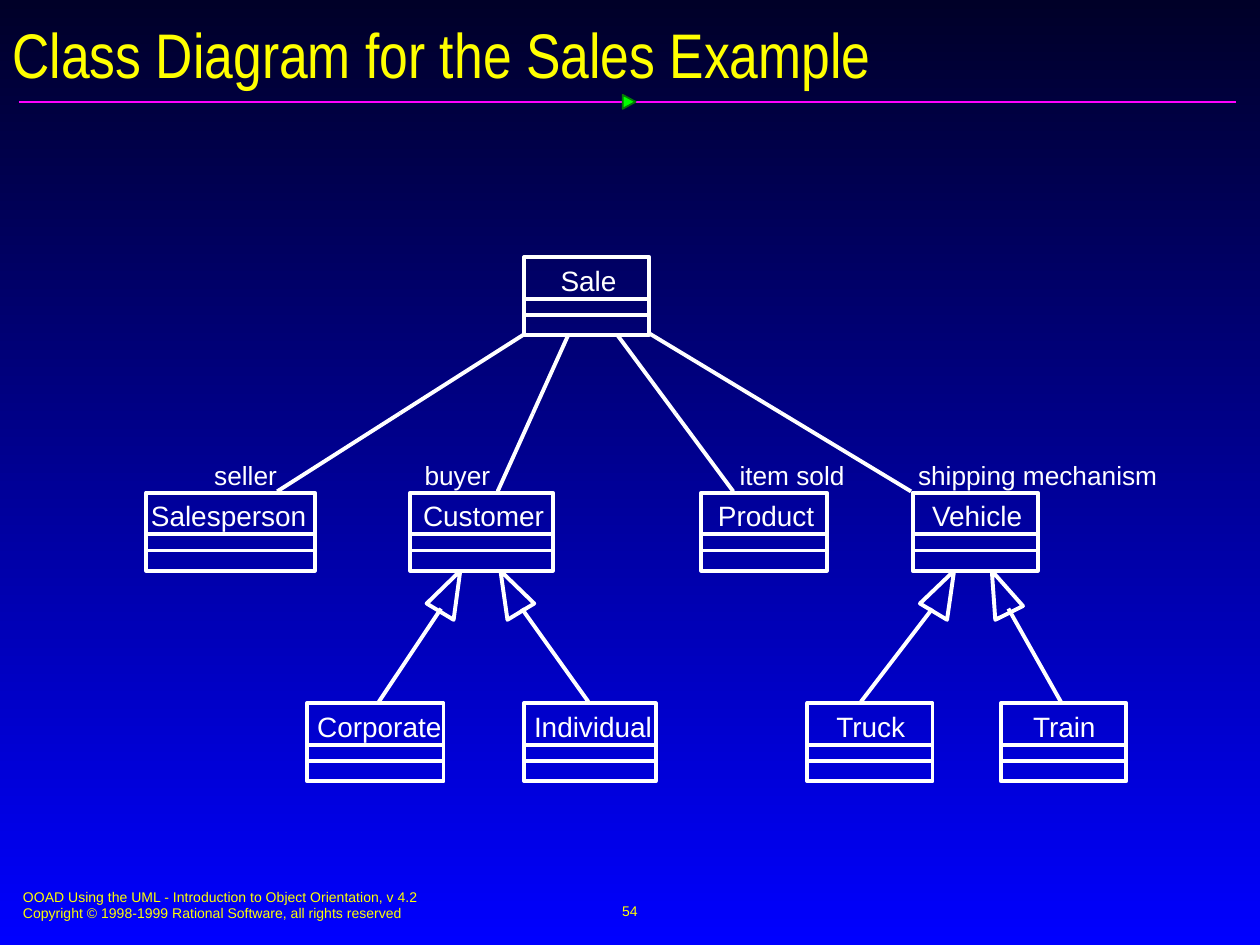
from pptx import Presentation
from pptx.dml.color import RGBColor
from pptx.enum.shapes import MSO_CONNECTOR, MSO_SHAPE
from pptx.enum.text import MSO_ANCHOR, PP_ALIGN
from pptx.oxml.ns import qn
from pptx.util import Pt
from lxml import etree

STRAIGHT = MSO_CONNECTOR.STRAIGHT
RECTANGLE, TRIANGLE = MSO_SHAPE.RECTANGLE, MSO_SHAPE.ISOSCELES_TRIANGLE
TOP, MIDDLE, BOTTOM = MSO_ANCHOR.TOP, MSO_ANCHOR.MIDDLE, MSO_ANCHOR.BOTTOM
LEFT, CENTER = PP_ALIGN.LEFT, PP_ALIGN.CENTER
WHITE, YELLOW, MAGENTA = "FFFFFF", "FFFF00", "FF01FF"
GREEN, DARK_GREEN = "00FF00", "037C03"
NAVY, BLUE = "000028", "0000FF"
color = RGBColor.from_string

deck = Presentation()
deck.slide_width, deck.slide_height = Pt(720), Pt(540)
page = deck.slides.add_slide(deck.slide_layouts[6])

background = page.background.fill
background.gradient()
background.gradient_angle = 270
for stop, shade in zip(background.gradient_stops, (NAVY, BLUE)):
    stop.color.rgb = color(shade)


def add_line(start, end, shade=WHITE, weight=2.25):
    line = page.shapes.add_connector(STRAIGHT, *map(Pt, start + end))
    line.line.color.rgb = color(shade)
    line.line.width = Pt(weight)
    etree.SubElement(line._element.spPr, qn("a:effectLst"))


def add_text(lines, frame, size, shade=WHITE, font="Arial", margins=(7.2, 3.6),
             anchor=TOP, align=LEFT, wrap=True):
    """Frame is left, top, width, height; margins are side, then top and bottom."""
    box = page.shapes.add_textbox(*map(Pt, frame)).text_frame
    box.word_wrap = wrap
    box.vertical_anchor = anchor
    box.margin_left = box.margin_right = Pt(margins[0])
    box.margin_top = box.margin_bottom = Pt(margins[1])
    box.text = "\n".join(lines)
    for para in box.paragraphs:
        para.alignment = align
        para.font.name = font
        para.font.size = Pt(size)
        para.font.color.rgb = color(shade)


# Title, rule and footer
add_line((10.8, 58.2), (706.3, 58.2), MAGENTA, 1)
marker = page.shapes.add_shape(TRIANGLE, Pt(355.5), Pt(54.5), Pt(8), Pt(7.4))
marker.rotation = 90
marker.shadow.inherit = False
marker.fill.solid()
marker.fill.fore_color.rgb = color(GREEN)
marker.line.color.rgb = color(DARK_GREEN)
marker.line.width = Pt(1)
add_text(["OOAD Using the UML - Introduction to Object Orientation, v 4.2",
          "Copyright © 1998-1999 Rational Software, all rights reserved"],
         (6, 504, 367, 26.6), 8, YELLOW)
add_text(["54"], (246, 502.5, 228, 36), 8, YELLOW,
         anchor=MIDDLE, align=CENTER, wrap=False)
add_text(["Class Diagram for the Sales Example"], (7.2, 10.1, 708.5, 41.8), 36,
         YELLOW, "Arial Narrow", (0, 0), BOTTOM)

# Classes: name, box left, box width, name left, name width
CLASS_HEIGHT = 44.6
class_rows = {
    147: [("Sale", 299.5, 71.6, 313.2, 46.8)],
    281.5: [("Salesperson", 83.5, 96.5, 79.2, 103),
            ("Customer", 234.5, 81.4, 234.7, 83.5),
            ("Product", 400.8, 71.6, 403.2, 69.8),
            ("Vehicle", 521.5, 71.6, 525.6, 67)],
    401.8: [("Corporate", 175.5, 78, 174.2, 85.7),
            ("Individual", 299.5, 75.2, 298.1, 82.1),
            ("Truck", 461.3, 71.6, 470.9, 54.7),
            ("Train", 572, 71.6, 583.2, 51.1)],
}
for top, classes in class_rows.items():
    for name, left, width, name_left, name_width in classes:
        frame = page.shapes.add_shape(
            RECTANGLE, Pt(left), Pt(top), Pt(width), Pt(CLASS_HEIGHT))
        frame.shadow.inherit = False
        frame.fill.background()
        frame.line.color.rgb = color(WHITE)
        frame.line.width = Pt(2.25)
        for drop in (23.8, 33.1):
            add_line((left, top + drop), (left + width, top + drop))
        add_text([name], (name_left, top, name_width, 26.6), 16, wrap=False)

# Associations: two halves that meet at the middle
associations = [
    ((298.8, 191.5), (158.4, 280.8)),
    ((324.7, 191.5), (284.4, 280.8)),
    ((352.8, 191.5), (419, 280.8)),
    ((371.5, 190.8), (520.6, 280.8)),
]
for sale_end, class_end in associations:
    middle = tuple((a + b) / 2 for a, b in zip(sale_end, class_end))
    add_line(middle, class_end)
    add_line(middle, sale_end)

roles = [("seller", 113.8, 96), ("buyer", 234, 96),
         ("item sold", 414, 96), ("shipping mechanism", 516, 168)]
for role, left, width in roles:
    add_text([role], (left, 258, width, 26.6), 15, margins=(8.6, 4.3))

# Generalizations: arrowhead corners from the tip, then the line to the subclass
generalizations = [
    ([(263, 326.2), (259.2, 354.2), (243.8, 344.9)], (252, 347.8), (216.5, 401)),
    ([(286, 326.2), (305.3, 344.9), (290, 354.2)], (298.2, 347.8), (336.2, 401)),
    ([(545.2, 326.2), (541.2, 354.2), (525.7, 344.9)], (532.8, 347.8), (492, 401)),
    ([(566.8, 326.2), (584.6, 346.3), (568.8, 354.2)], (576.2, 347.8), (606.2, 401)),
]
for corners, line_start, line_end in generalizations:
    tip, *others = [(Pt(x), Pt(y)) for x, y in corners]
    builder = page.shapes.build_freeform(*tip)
    builder.add_line_segments(others, close=True)
    arrowhead = builder.convert_to_shape()
    arrowhead.shadow.inherit = False
    arrowhead.fill.background()
    arrowhead.line.color.rgb = color(WHITE)
    arrowhead.line.width = Pt(2.25)
    add_line(line_start, line_end)

deck.save("out.pptx")
